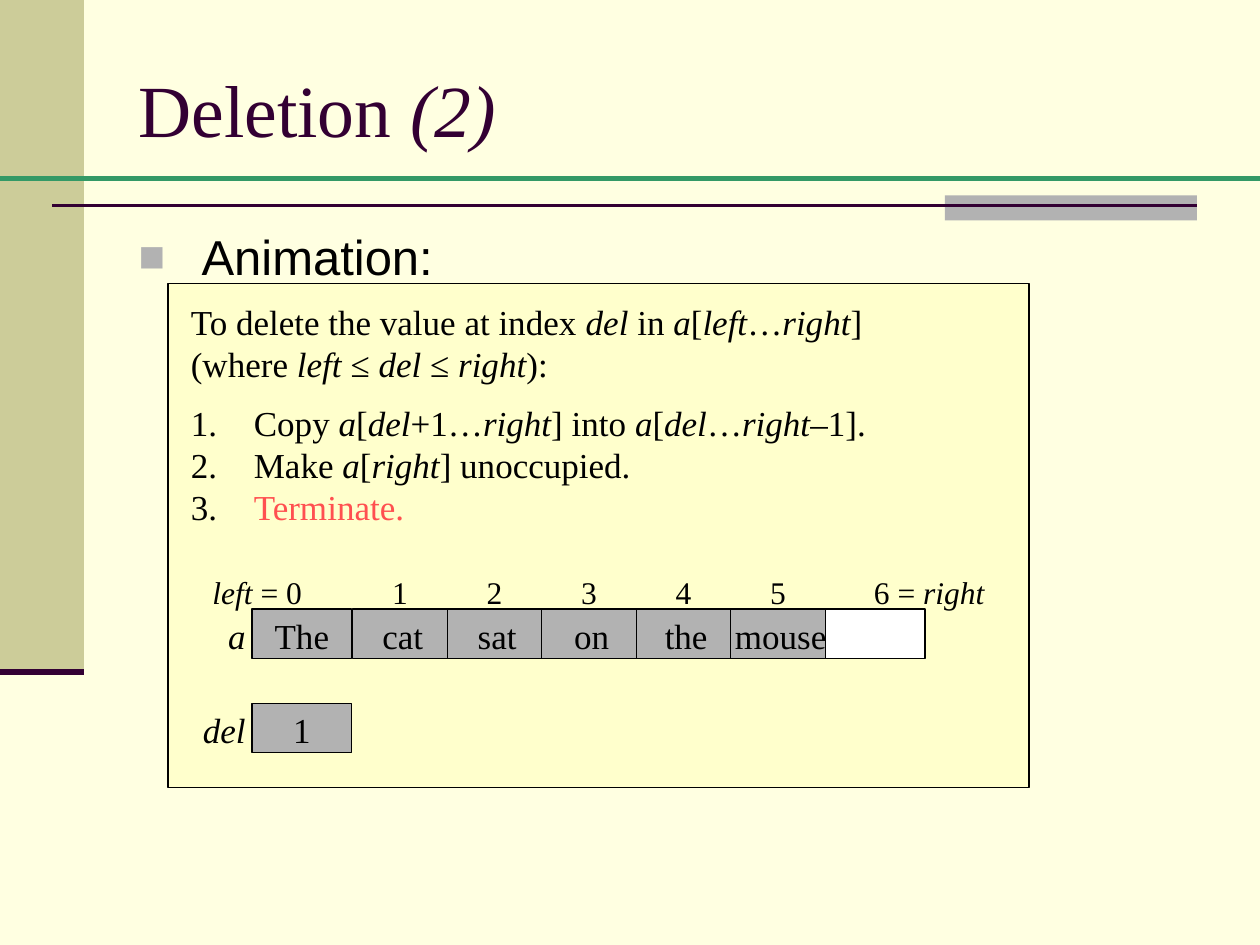
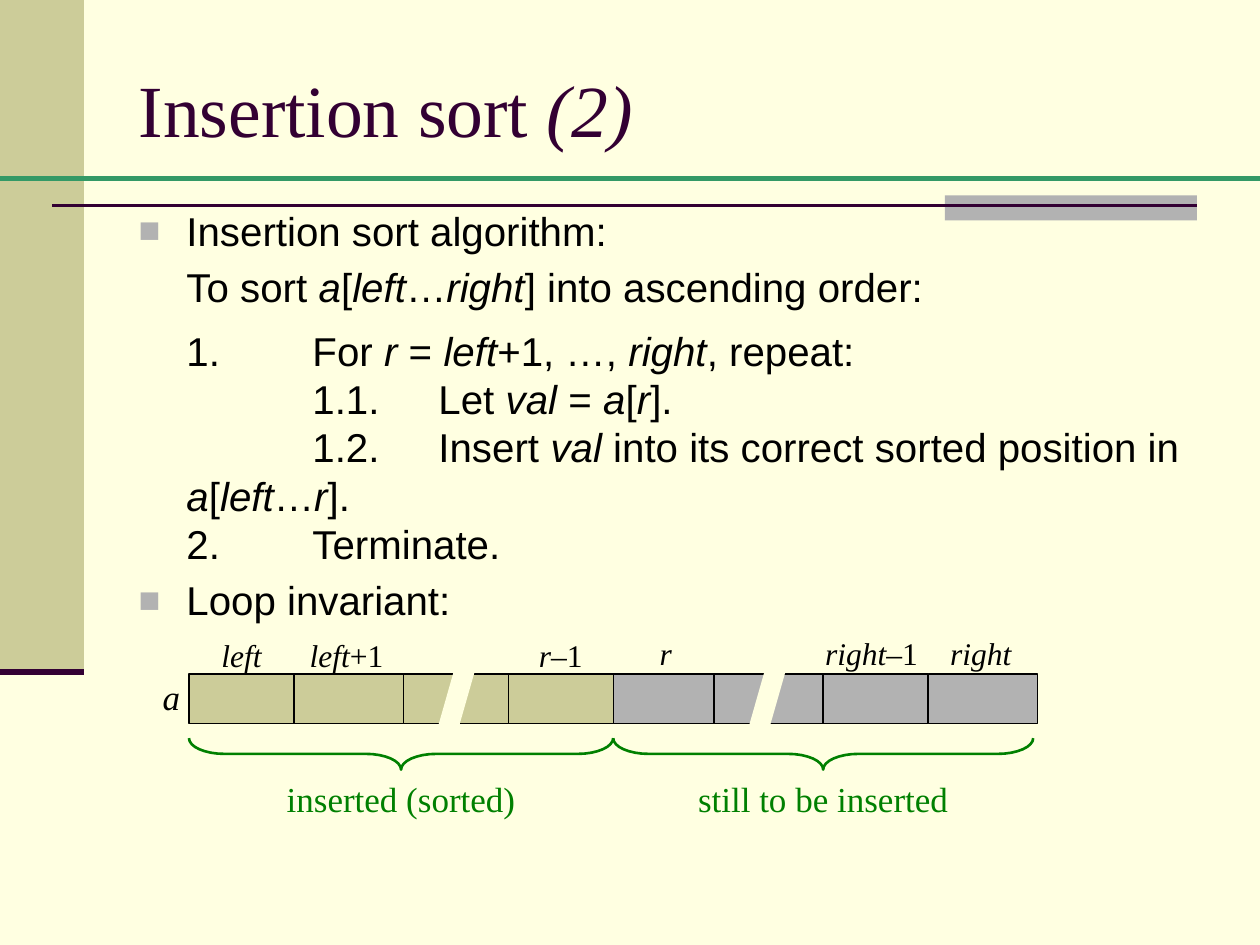
from math import cos, pi, sin

from lxml.etree import SubElement
from pptx import Presentation
from pptx.dml.color import RGBColor
from pptx.enum.shapes import MSO_CONNECTOR as Connector, MSO_SHAPE as Preset
from pptx.enum.text import MSO_ANCHOR as Anchor, MSO_AUTO_SIZE as AutoSize, PP_ALIGN as Align
from pptx.oxml.ns import qn
from pptx.util import Inches, Pt

COLUMNS_PER_INCH = 12
INK, PLUM, GREEN, LEAF = "000000", "330033", "339966", "008000"
PAPER, CREAM, OLIVE, GREY = "FFFFE1", "FFFFCC", "CCCC99", "B2B2B2"
WHITE, RED = "FFFFFF", "FF5050"
SERIF, SANS = "Times New Roman", "Arial"


def color(code):
    return RGBColor.from_string(code)


def grid(*cells):
    return [Inches(cell / COLUMNS_PER_INCH) for cell in cells]


def write(para, text, size=20, font=SERIF, ink=INK, accent=None, align=Align.LEFT,
          before=0, indent=0, hang=0, bullet=False, tab=None, tab_every=None):
    para.alignment = align
    para.space_before = Pt(before)
    props = para._p.get_or_add_pPr()
    props.set("marL", str(Inches(indent)))
    props.set("indent", str(-Inches(hang)))
    if tab_every:
        props.set("defTabSz", str(Inches(tab_every)))
    if bullet:
        SubElement(SubElement(props, qn("a:buClr")), qn("a:srgbClr"), val=GREY)
        SubElement(props, qn("a:buSzPct"), val="90000")
        SubElement(props, qn("a:buFont"), typeface=SANS)
        SubElement(props, qn("a:buChar"), char="■")
    else:
        SubElement(props, qn("a:buNone"))
    if tab:
        stops = SubElement(props, qn("a:tabLst"))
        SubElement(stops, qn("a:tab"), pos=str(Inches(tab)), algn="l")
    for turn, chunk in enumerate(text.split("*")):
        for number, line in enumerate(chunk.split("\n")):
            if number:
                para.add_line_break()
                SubElement(para._p[-1], qn("a:rPr"), sz=str(size * 100))
            if line:
                span = para.add_run()
                span.text = line
                span.font.name = font
                span.font.size = Pt(size)
                span.font.italic = turn % 2 == 1
                span.font.color.rgb = color(RED if line == accent else ink)


class Painter:
    def __init__(self):
        self.deck = Presentation()
        self.deck.slide_width, self.deck.slide_height = grid(120, 90)
        fill = self.deck.slide_master.background.fill
        fill.solid()
        fill.fore_color.rgb = color(PAPER)
        self.page = None

    def start(self, title, body_area):
        self.page = self.deck.slides.add_slide(self.deck.slide_layouts[1])
        self.box(0, 0, 8, 64, OLIVE)
        self.box(90, 18.6, 24, 2.4, GREY)
        self.line(5, 19.6, 114, 19.6, PLUM, 1.5)
        self.line(0, 64, 8, 64, PLUM, 3.5)
        self.line(0, 17, 120, 17, GREEN, 3)
        heading = self.place(self.page.shapes.title, 12, 3.6, 102, 13.4)
        heading.vertical_anchor = Anchor.MIDDLE
        write(heading.paragraphs[0], title, size=42, ink=PLUM)
        return self.place(self.page.placeholders[1], *body_area)

    def place(self, holder, *area):
        holder.left, holder.top, holder.width, holder.height = grid(*area)
        frame = holder.text_frame
        frame.auto_size = AutoSize.NONE
        frame.word_wrap = True
        return frame

    def paint(self, shape, fill=None, line=None, weight=0.75):
        shape.shadow.inherit = False
        if fill:
            shape.fill.solid()
            shape.fill.fore_color.rgb = color(fill)
        else:
            shape.fill.background()
        if line:
            shape.line.color.rgb = color(line)
            shape.line.width = Pt(weight)
        else:
            shape.line.fill.background()

    def box(self, left, top, width, height, fill, line=None):
        shape = self.page.shapes.add_shape(Preset.RECTANGLE, *grid(left, top, width, height))
        self.paint(shape, fill, line)
        return shape

    def line(self, x1, y1, x2, y2, ink, weight):
        rule = self.page.shapes.add_connector(Connector.STRAIGHT, *grid(x1, y1, x2, y2))
        rule.line.color.rgb = color(ink)
        rule.line.width = Pt(weight)
        SubElement(rule._element.spPr, qn("a:effectLst"))

    def margins(self, frame, side, edge):
        frame.margin_left = frame.margin_right = Inches(side)
        frame.margin_top = frame.margin_bottom = Inches(edge)

    def cell(self, left, top, text, fill=GREY, width=9.5):
        frame = self.box(left, top, width, 4.7, fill, INK).text_frame
        if text:
            self.margins(frame, 0.05, 0.04)
            frame.word_wrap = False
            frame.vertical_anchor = Anchor.TOP
            write(frame.paragraphs[0], text, align=Align.CENTER)

    def label(self, left, top, width, height, text, side=0, edge=0, align=Align.CENTER, **style):
        frame = self.page.shapes.add_textbox(*grid(left, top, width, height)).text_frame
        self.margins(frame, side, edge)
        frame.word_wrap = False
        write(frame.paragraphs[0], text, align=align, **style)

    def block(self, left, top, width, height, texts, **style):
        frame = self.page.shapes.add_textbox(*grid(left, top, width, height)).text_frame
        self.fill_frame(frame, [(text, style) for text in texts])

    def fill_frame(self, frame, entries):
        frame.word_wrap = True
        for number, (text, style) in enumerate(entries):
            para = frame.add_paragraph() if number else frame.paragraphs[0]
            write(para, text, **style)

    def outline(self, points, closed=False, **look):
        corners = [grid(*point) for point in points]
        builder = self.page.shapes.build_freeform(*corners[0])
        builder.add_line_segments(corners[1:], close=closed)
        self.paint(builder.convert_to_shape(), **look)

    def brace(self, left, top, width, bend=3.36, drop=1.5, steps=8):
        turns = [pi / 2 * step / steps for step in range(steps + 1)]
        half = [(bend * (1 - cos(turn)), drop * sin(turn)) for turn in turns]
        half += [(width / 2 - bend + bend * sin(turn), drop * (2 - cos(turn))) for turn in turns]
        whole = half + [(width - x, y) for x, y in reversed(half[:-1])]
        self.outline([(left + x, top + y) for x, y in whole], line=LEAF, weight=1.5)

    def gap(self, left, top):
        slant = [(2, 0), (4, 0), (2, 7), (0, 7)]
        self.outline([(left + x, top + y) for x, y in slant], closed=True, fill=PAPER)


def deletion(painter):
    body = painter.start("Deletion *(2)*", (12, 21, 102, 59.4))
    painter.fill_frame(body, [
        ("Animation:", dict(size=28, font=SANS, before=5.6, indent=0.5, hang=0.5, bullet=True))])
    painter.box(16, 27, 82, 48, CREAM, INK)
    painter.block(17, 28, 73.2, 23.2, [
        "To delete the value at index *del* in *a*[*left*…*right*] \n"
        "(where *left *≤ *del *≤ *right*):",
        "1.\tCopy *a*[*del*+1…*right*] into *a*[*del*…*right*–1].\n"
        "2.\tMake *a*[*right*] unoccupied.\n"
        "3.\t**Terminate."], before=10, tab=0.42, accent="Terminate.")
    array_row, index_row, del_row, pitch = 58, 54, 67, 9
    painter.cell(24, array_row, "The")
    for index, word in enumerate(["cat", "sat", "on", "the", "mouse", ""]):
        painter.cell(33.6 + pitch * index, array_row, word, GREY if word else WHITE)
    painter.cell(24, del_row, "1")
    indexes = [(19, 11, "*left *= 0"), (82, 13, "6 = *right*")]
    indexes += [(36.1 + pitch * index, 4, str(index + 1)) for index in range(5)]
    for left, width, text in indexes:
        painter.label(left, index_row, width, 4.8, text, side=0.1, edge=0.05, size=18)
    for row, name in [(array_row, "*a*"), (del_row, "*del*")]:
        painter.label(18, row, 6, 5, name, side=0.05, edge=0.04, align=Align.RIGHT)


def insertion_sort(painter):
    body = painter.start("Insertion sort *(2)*", (12, 19, 108, 61.4))
    plain = dict(size=23, font=SANS, before=4.6, indent=0.38)
    bulleted = dict(plain, hang=0.38, bullet=True)
    painter.fill_frame(body, [
        ("Insertion sort algorithm:", bulleted),
        ("To sort *a*[*left*…*right*] into ascending order:", plain),
        ("1.\tFor *r* = *left*+1, …, *right*, repeat:\n"
         "\t1.1.\tLet *val* = *a*[*r*].\n"
         "\t1.2.\tInsert *val* into its correct sorted position in *a*[*left*…*r*].\n"
         "2.\tTerminate.", dict(plain, before=9, tab_every=1)),
        ("Loop invariant:", bulleted)])
    array_row = 64.2
    for fill, lefts in [(OLIVE, (18, 28, 38.4, 48.4)), (GREY, (58.4, 78, 68, 88.4))]:
        for left in lefts:
            painter.cell(left, array_row, "", fill, width=10.4)
    for left in (41.4, 71):
        painter.gap(left, 63.3)
    painter.label(15.5, 64.3, 1.7, 4, "*a*", align=Align.LEFT)
    for row, names in [(60.6, {18: "*left*", 28: "*left*+1", 48.4: "*r*–1"}),
                       (60.4, {58.4: "*r*", 78: "*right*–1", 88.4: "*right*"})]:
        for left, name in names.items():
            painter.label(left, row, 10, 3.6, name, size=18)
    for left, width, name in [(18, 40.4, "inserted (sorted)"), (58.4, 40, "still to be inserted")]:
        painter.brace(left, 70.3, width)
        painter.label(left, 74, width, 4, name, ink=LEAF)


def main():
    painter = Painter()
    deletion(painter)
    insertion_sort(painter)
    painter.deck.save("out.pptx")


if __name__ == "__main__":
    main()
